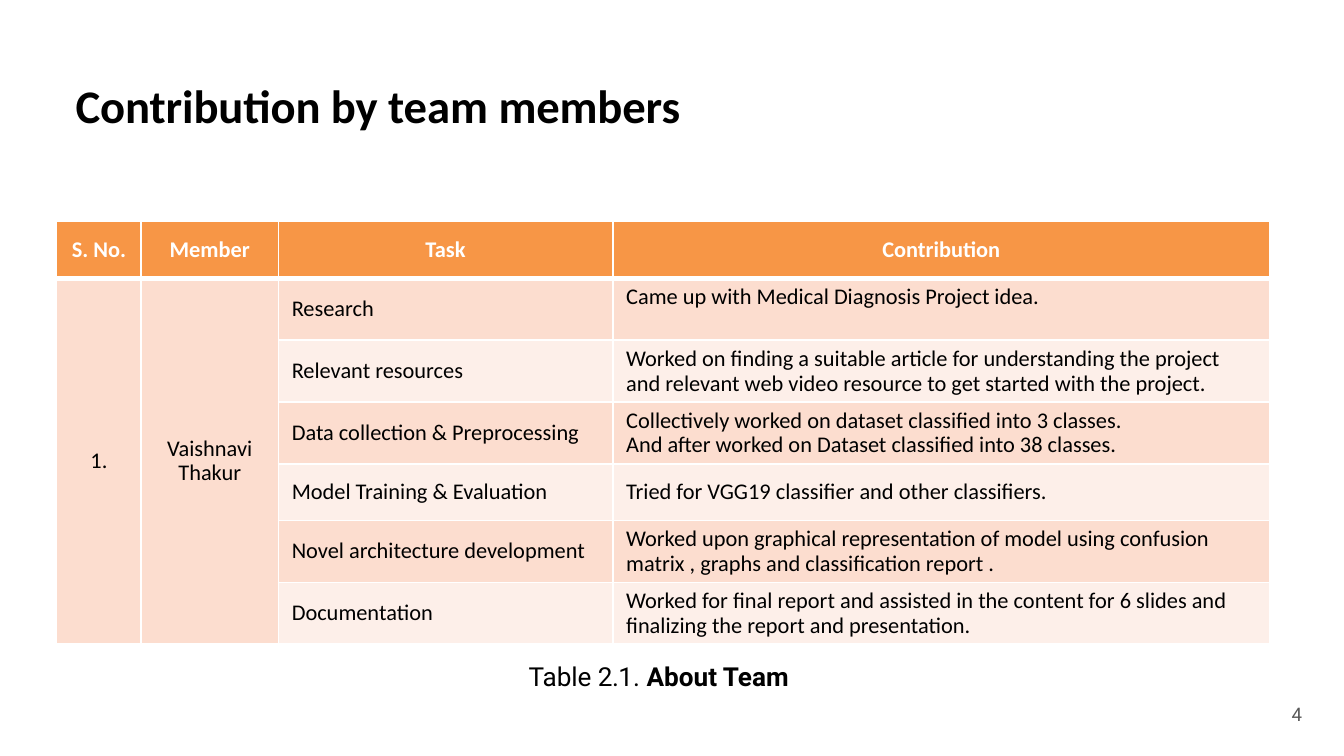
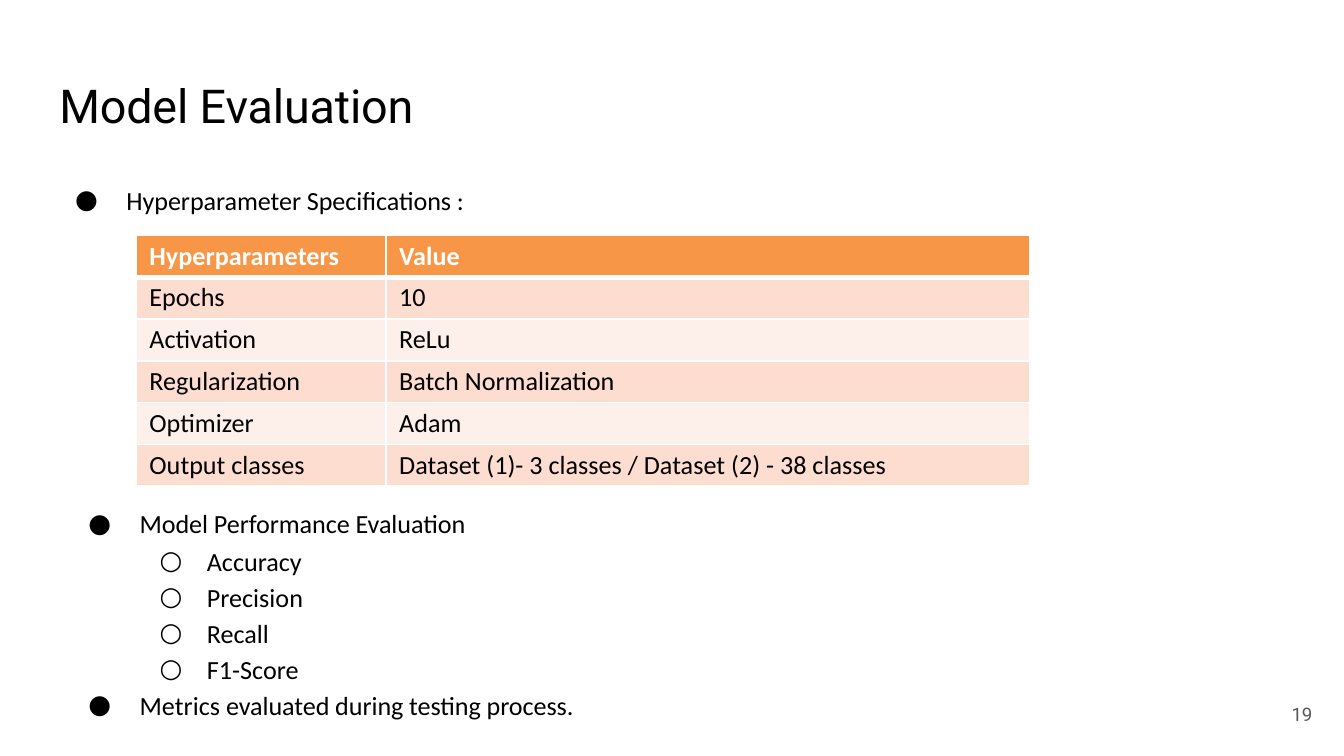
import pptx
import pptx.dml.color
import pptx.enum.text
import pptx.oxml
import pptx.oxml.ns
import pptx.util

Cm, Pt = pptx.util.Cm, pptx.util.Pt
ALIGN = pptx.enum.text.PP_ALIGN
ANCHOR = pptx.enum.text.MSO_ANCHOR
AUTO_SIZE = pptx.enum.text.MSO_AUTO_SIZE

# Shared look
BLACK, WHITE, GREY = "000000", "FFFFFF", "585858"
HEADER_FILL = "F79646"
BAND_FILLS = ["FCDDCF", "FDEFE9"]
BODY_FONT, DISPLAY_FONT = "Calibri", "Roboto"
TITLE_TOP = 1.42
NUMBER_PLACE = (24.31, 13.28, 0.61, 0.46)
TIGHT = -0.05  # letter spacing in points

# Content: team slide; a span is (text, letter spacing, bold)
TEAM_TITLE = [("Contribution by ", TIGHT, True), ("team ", 0, True), ("members", TIGHT, True)]
TEAM_CAPTION = [("Table ", TIGHT, False), ("2.1", -0.3, False), (". ", 0, False),
                ("About Team", 0, True)]
TEAM_HEADER = ["S. No.", "Member", "Task", "Contribution"]
MEMBER = ["1.", "Vaishnavi Thakur"]
TASKS = [
    ("Research", "Came up with Medical Diagnosis Project idea."),
    ("Relevant resources",
     "Worked on finding a suitable article for understanding the project "
     "and relevant web video resource to get started with the project."),
    ("Data collection & Preprocessing",
     "Collectively worked on dataset classified into 3 classes.\n"
     "And after worked on Dataset classified into 38 classes."),
    ("Model Training & Evaluation", "Tried for VGG19 classifier and other classifiers."),
    ("Novel architecture development",
     "Worked upon graphical representation of model using confusion "
     "matrix , graphs and classification report ."),
    ("Documentation",
     "Worked for final report and assisted in the content for 6 slides "
     "and finalizing the report and presentation."),
]

# Content: evaluation slide; a bullet is (level, space before, spans)
EVALUATION_TITLE = [("Model Evaluation", TIGHT, False)]
HYPERPARAMETERS = [
    ("Hyperparameters", "Value"),
    ("Epochs", "10"),
    ("Activation", "ReLu"),
    ("Regularization", "Batch Normalization"),
    ("Optimizer", "Adam"),
    ("Output classes", "Dataset (1)- 3 classes / Dataset (2) - 38 classes"),
]
SPECIFICATION_BULLETS = [(0, 5, [("Hyperparameter Specifications :", TIGHT, False)])]
METRIC_BULLETS = [
    (0, 5, [("Model Performance Evaluation", TIGHT, False)]),
    (1, 3.1, [("Accuracy", 0, False)]),
    (1, 2.5, [("Precision", 0, False)]),
    (1, 2.5, [("Recall", 0, False)]),
    (1, 2.5, [("F1-Score", 0, False)]),
    (0, 2.6, [("Metrics", 0, False), (" evaluated during testing process.", TIGHT, False)]),
]
# Level: character, left margin and hanging indent in cm
BULLET_STYLES = [("●", 0.99, 0.97), ("○", 2.26, 0.89)]


def color(value):
    return pptx.dml.color.RGBColor.from_string(value)


def format_span(span, font, size, tint, bold=False):
    span.font.name = font
    span.font.size = Pt(size)
    span.font.bold = bold
    span.font.color.rgb = color(tint)


def write_spans(para, spans, font, size, tint=BLACK, before=0):
    para.alignment = ALIGN.LEFT
    para.space_before = Pt(before)
    for text, spacing, bold in spans:
        span = para.add_run()
        span.text = text
        format_span(span, font, size, tint, bold)
        span.font._element.set("spc", str(round(spacing * 100)))


def set_indent(para, left, first):
    properties = para._p.get_or_add_pPr()
    properties.set("marL", str(Cm(left)))
    properties.set("indent", str(Cm(first)))
    return properties


def set_frame(frame, insets=(0, 0), grow=True):
    frame.margin_left = frame.margin_right = Cm(insets[0])
    frame.margin_top = Cm(insets[1])
    frame.margin_bottom = Cm(insets[0] / 2)
    frame.vertical_anchor = ANCHOR.TOP
    frame.word_wrap = True
    frame.auto_size = AUTO_SIZE.SHAPE_TO_FIT_TEXT if grow else AUTO_SIZE.NONE


def add_text(slide, place, spans, font, size, tint=BLACK, before=0, indent=0.03,
             top_inset=0.03, grow=True):
    box = slide.shapes.add_textbox(*map(Cm, place))
    set_frame(box.text_frame, (0, top_inset), grow)
    para = box.text_frame.paragraphs[0]
    write_spans(para, spans, font, size, tint, before)
    set_indent(para, indent, 0)


def add_bullets(slide, place, bullets, insets, grow):
    box = slide.shapes.add_textbox(*map(Cm, place))
    frame = box.text_frame
    set_frame(frame, insets, grow)
    for index, (level, before, spans) in enumerate(bullets):
        para = frame.add_paragraph() if index else frame.paragraphs[0]
        write_spans(para, spans, BODY_FONT, 14, before=before)
        para.level = level
        character, left, hanging = BULLET_STYLES[level]
        properties = set_indent(para, left, -hanging)
        for mark in (f'buFont {{}} typeface="{DISPLAY_FONT}"', f'buChar {{}} char="{character}"'):
            properties.append(pptx.oxml.parse_xml(
                f'<a:{mark.format(pptx.oxml.ns.nsdecls("a"))}/>'))


def add_page(deck, number, left, width, title, font):
    """Title-only slide with its title and page number."""
    page = deck.slides.add_slide(deck.slide_layouts[5])
    heading = page.shapes.title
    heading.left, heading.top, heading.width, heading.height = map(
        Cm, (left, TITLE_TOP, width, 1.1))
    set_frame(heading.text_frame, (0, 0.03))
    para = heading.text_frame.paragraphs[0]
    write_spans(para, title, font, 25, before=0.9)
    set_indent(para, 0.03, 0)
    add_text(page, NUMBER_PLACE, [(number, TIGHT, False)], DISPLAY_FONT, 10, GREY,
             indent=0.1, top_inset=0)
    return page


def set_borders(cell, top, bottom):
    properties = cell._tc.get_or_add_tcPr()
    widths = {"lnL": 1, "lnR": 1, "lnT": top, "lnB": bottom}
    for position, (tag, width) in enumerate(widths.items()):
        line = pptx.oxml.parse_xml(
            f'<a:{tag} {pptx.oxml.ns.nsdecls("a")} w="{Pt(width)}">'
            f'<a:solidFill><a:srgbClr val="{WHITE}"/></a:solidFill></a:{tag}>')
        properties.insert(position, line)


def add_banded_table(slide, left, top, widths, heights, rows, size, centred):
    """centred(row, column) tells which cells are centred."""
    frame = slide.shapes.add_table(len(rows), len(widths), Cm(left), Cm(top),
                                   Cm(sum(widths)), Cm(sum(heights)))
    table = frame.table
    for column, width in zip(table.columns, widths):
        column.width = Cm(width)
    for row, height in zip(table.rows, heights):
        row.height = Cm(height)
    for r, row in enumerate(rows):
        header = r == 0
        for c, text in enumerate(row):
            cell = table.cell(r, c)
            cell.vertical_anchor = ANCHOR.MIDDLE
            cell.fill.solid()
            cell.fill.fore_color.rgb = color(HEADER_FILL if header else BAND_FILLS[(r - 1) % 2])
            set_borders(cell, 3 if r == 1 else 1, 3 if header else 1)
            cell.text_frame.text = text
            for para in cell.text_frame.paragraphs:
                para.line_spacing = 0.9
                para.alignment = ALIGN.CENTER if centred(r, c) else ALIGN.LEFT
                for span in para.runs:
                    format_span(span, BODY_FONT, size, WHITE if header else BLACK, header)
    return table


def build_team_page(deck):
    page = add_page(deck, "4", 1.4, 12.12, TEAM_TITLE, BODY_FONT)
    rows = [TEAM_HEADER]
    for index, task in enumerate(TASKS):
        rows.append([*(["", ""] if index else MEMBER), *task])
    heights = [1.07, 1.17] + [1.07] * (len(TASKS) - 1)
    table = add_banded_table(page, 1.07, 4.19, [1.6, 2.59, 6.32, 12.42], heights, rows, 12,
                             lambda r, c: r == 0 or c < len(MEMBER))
    for column in range(len(MEMBER)):
        table.cell(1, column).merge(table.cell(len(TASKS), column))
    table.cell(1, 3).vertical_anchor = ANCHOR.TOP
    add_text(page, (9.96, 12.45, 5.16, 0.71), TEAM_CAPTION, DISPLAY_FONT, 14,
             before=1.1, grow=False)


def build_evaluation_page(deck):
    page = add_page(deck, "19", 1.09, 6.83, EVALUATION_TITLE, DISPLAY_FONT)
    add_bullets(page, (1.4, 3.3, 15.8, 0.79), SPECIFICATION_BULLETS, (0, 0.18), True)
    add_banded_table(page, 2.57, 4.45, [4.72, 12.17], [0.79] * len(HYPERPARAMETERS),
                     HYPERPARAMETERS, 14, lambda r, c: False)
    add_bullets(page, (1.4, 9.47, 11.35, 4.34), METRIC_BULLETS, (0.25, 0.13), False)


def main():
    deck = pptx.Presentation()
    deck.slide_width, deck.slide_height = Cm(25.4), Cm(14.29)
    build_team_page(deck)
    build_evaluation_page(deck)
    deck.save("out.pptx")


if __name__ == "__main__":
    main()
